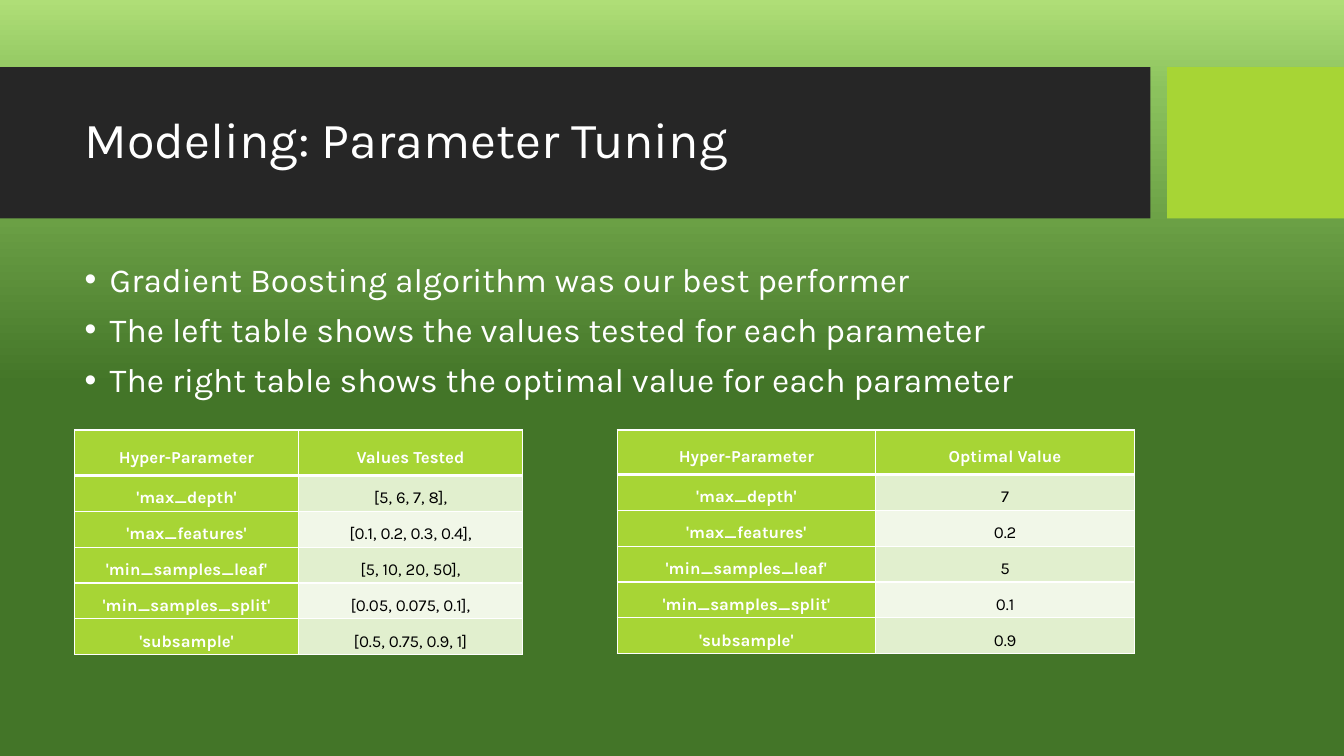
from copy import deepcopy

from lxml.etree import SubElement
from pptx import Presentation
from pptx.dml.color import RGBColor
from pptx.enum.shapes import MSO_SHAPE
from pptx.enum.text import MSO_ANCHOR, PP_ALIGN
from pptx.oxml.ns import qn
from pptx.util import Pt

WHITE, BLACK, LIME = "FFFFFF", "000000", "A7D535"
LEFT = 53.3


def rgb(value):
    return RGBColor.from_string(value)


def add_text(paragraph, text, size, color, bold=False):
    """Append one run in the slide's typeface."""
    run = paragraph.add_run()
    run.text = text
    run.font.name = "Karla"
    run.font.size = Pt(size)
    run.font.bold = bold
    run.font.color.rgb = rgb(color)


prs = Presentation()
prs.slide_width, prs.slide_height = Pt(960), Pt(540)
slide = prs.slides.add_slide(prs.slide_layouts[6])

# Background gradient, top to bottom
backdrop = slide.background.fill
backdrop.gradient()
backdrop.gradient_angle = 270
last_stop = backdrop.gradient_stops[1]._gs
last_stop.addnext(deepcopy(last_stop))
gradient = [(0, "AFDE77"), (0.12, "8BC25D"), (0.51, "437528")]
for stop, (position, color) in zip(backdrop.gradient_stops, gradient):
    stop.position = position
    stop.color.rgb = rgb(color)

# Title band and accent block
for left, width, color in [(0, 821.8, "262626"), (833.6, 126.4, LIME)]:
    band = slide.shapes.add_shape(
        MSO_SHAPE.RECTANGLE, Pt(left), Pt(48), Pt(width), Pt(108))
    band.shadow.inherit = False
    band.fill.solid()
    band.fill.fore_color.rgb = rgb(color)
    band.line.fill.background()

title = slide.shapes.add_textbox(Pt(LEFT), Pt(59), Pt(757), Pt(85)).text_frame
title.word_wrap = True
title.vertical_anchor = MSO_ANCHOR.MIDDLE
title.paragraphs[0].line_spacing = 0.9
add_text(title.paragraphs[0], "Modeling: Parameter Tuning", 36, WHITE)

# Bullets
points = [
    "Gradient Boosting algorithm was our best performer",
    "The left table shows the values tested for each parameter",
    "The right table shows the optimal value for each parameter",
]
body = slide.shapes.add_textbox(Pt(LEFT), Pt(184.3), Pt(757), Pt(283.7)).text_frame
body.word_wrap = True
for i, point in enumerate(points):
    paragraph = body.add_paragraph() if i else body.paragraphs[0]
    paragraph.line_spacing = 0.9
    paragraph.space_before = Pt(10)
    properties = paragraph._p.get_or_add_pPr()
    properties.set("marL", str(Pt(18)))
    properties.set("indent", str(Pt(-18)))
    SubElement(properties, qn("a:buFont"), typeface="Arial")
    SubElement(properties, qn("a:buChar"), char="•")
    add_text(paragraph, point, 24, WHITE)

# Parameter tables
parameters = ["'max_depth'", "'max_features'", "'min_samples_leaf'",
              "'min_samples_split'", "'subsample'"]
tested = ["[5, 6, 7, 8],", "[0.1, 0.2, 0.3, 0.4],", "[5, 10, 20, 50],",
          "[0.05, 0.075, 0.1],", "[0.5, 0.75, 0.9, 1]"]
optimal = ["7", "0.2", "5", "0.1", "0.9"]
tables = [
    (LEFT, 160, 32.4, "Values Tested", tested),
    (440.8, 184.8, 31.7, "Optimal Value", optimal),
]
for left, column_width, header_height, heading, values in tables:
    rows = [("Hyper-Parameter", heading), *zip(parameters, values)]
    table = slide.shapes.add_table(
        len(rows), 2, Pt(left), Pt(307.2), Pt(2 * column_width), Pt(160.4)).table
    for column in table.columns:
        column.width = Pt(column_width)
    for r, row in enumerate(rows):
        table.rows[r].height = Pt(25.6 if r else header_height)
        for c, text in enumerate(row):
            cell = table.cell(r, c)
            cell.margin_left = cell.margin_right = Pt(5)
            cell.margin_top = cell.margin_bottom = 0
            cell.vertical_anchor = MSO_ANCHOR.MIDDLE
            for side in "LRTB":
                thick = (r, side) in [(0, "B"), (1, "T")]
                border = SubElement(cell._tc.get_or_add_tcPr(), qn("a:ln" + side),
                                    w=str(Pt(3 if thick else 1)))
                line_fill = SubElement(border, qn("a:solidFill"))
                SubElement(line_fill, qn("a:srgbClr"), val=WHITE)
            is_value = r > 0 and c == 1
            stripe = "E1EFCE" if r % 2 else "F1F7E8"
            cell.fill.solid()
            cell.fill.fore_color.rgb = rgb(stripe if is_value else LIME)
            paragraph = cell.text_frame.paragraphs[0]
            paragraph.alignment = PP_ALIGN.CENTER
            paragraph.line_spacing = 1.5
            add_text(paragraph, text, 12, BLACK if is_value else WHITE, not is_value)

prs.save("out.pptx")
